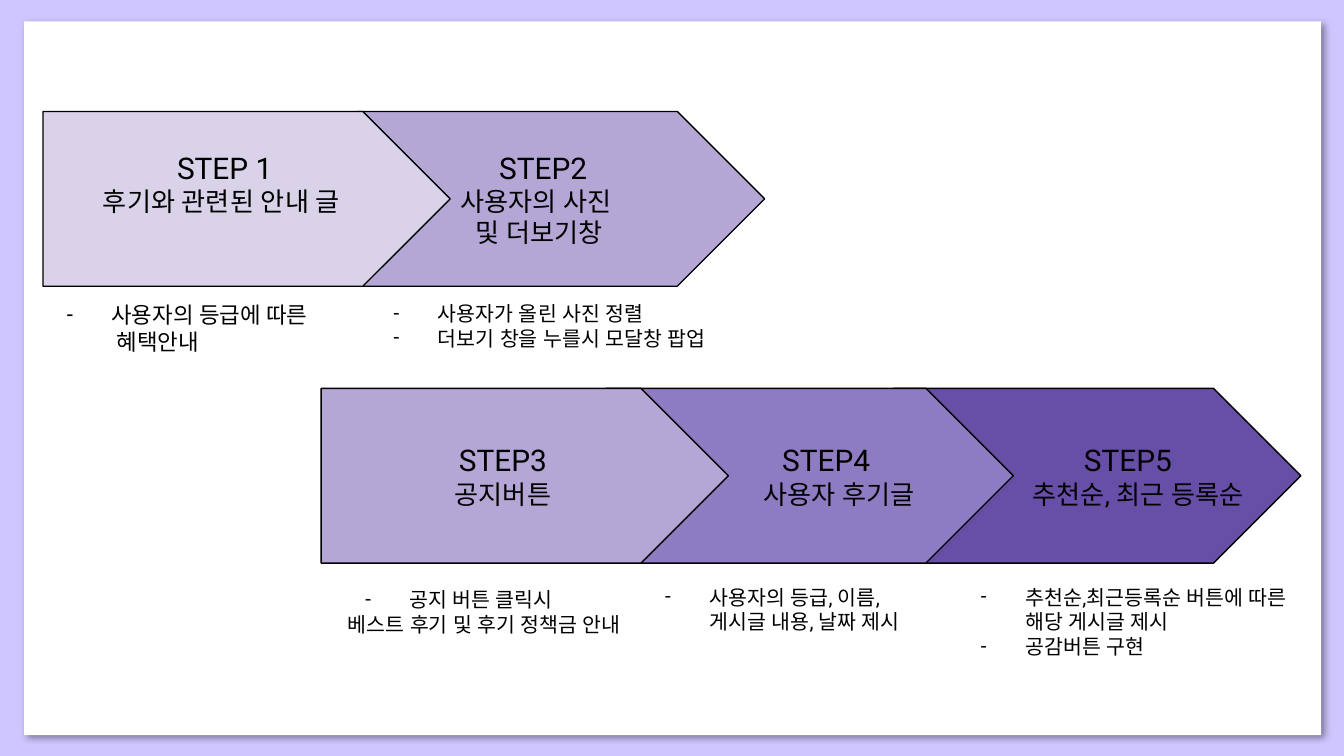
from lxml.etree import SubElement
from pptx import Presentation
from pptx.dml.color import RGBColor
from pptx.enum.shapes import MSO_SHAPE
from pptx.enum.text import MSO_ANCHOR, MSO_AUTO_SIZE, PP_ALIGN
from pptx.oxml.ns import qn
from pptx.util import Inches, Pt


def color(value):
    return RGBColor.from_string(value)


class StepSlide:
    """Draws the parts of a process slide on a grid of tenth-inch cells."""

    FONT, INK = "Roboto", "000000"
    CELL = Inches(0.1)
    INSET = 1
    ARROW_WIDTH, ARROW_HEIGHT = 30.3, 13
    HEADING_SIZE, LABEL_SIZE = 16, 14
    BULLET_INDENT, BULLET_HANG = 5, 3.3

    def __init__(self, deck, background):
        self.page = deck.slides.add_slide(deck.slide_layouts[6])
        fill = self.page.background.fill
        fill.solid()
        fill.fore_color.rgb = color(background)

    def cells(self, *counts):
        return [round(count * self.CELL) for count in counts]

    def shape(self, kind, place, fill):
        shape = self.page.shapes.add_shape(kind, *self.cells(*place))
        shape.shadow.inherit = False
        shape.fill.solid()
        shape.fill.fore_color.rgb = color(fill)
        return shape

    def frame(self, shape, bottom=INSET):
        frame = shape.text_frame
        frame.word_wrap = True
        insets = self.cells(self.INSET, self.INSET, self.INSET, bottom)
        frame.margin_left, frame.margin_top, frame.margin_right, frame.margin_bottom = insets
        return frame

    def paragraph(self, frame, index, text, size, align, indent=0, bullet=False):
        para = frame.add_paragraph() if index else frame.paragraphs[0]
        para.text = text
        para.alignment = align
        hang = self.BULLET_HANG if bullet else 0
        margin, first = self.cells(indent, -hang)
        properties = para._p.get_or_add_pPr()
        properties.set("marL", str(margin))
        properties.set("indent", str(first))
        if bullet:
            SubElement(properties, qn("a:buFont"), typeface=self.FONT)
            SubElement(properties, qn("a:buChar"), char="-")
        para.font.name = self.FONT
        para.font.size = Pt(size)
        para.font.color.rgb = color(self.INK)
        SubElement(properties.find(qn("a:defRPr")), qn("a:ea"), typeface=self.FONT)

    def panel(self, place, fill):
        panel = self.shape(MSO_SHAPE.RECTANGLE, place, fill)
        panel.line.fill.background()
        effects = panel._element.spPr.find(qn("a:effectLst"))
        shadow = SubElement(effects, qn("a:outerShdw"), blurRad=str(Pt(4)), dist=str(Pt(3)),
                            dir="2700000", algn="bl", rotWithShape="0")
        tint = SubElement(shadow, qn("a:srgbClr"), val=self.INK)
        SubElement(tint, qn("a:alpha"), val="40000")

    def arrow(self, left, top, fill, heading, labels, indents=(0, 0),
              label_align=PP_ALIGN.CENTER, bottom=INSET):
        place = (left, top, self.ARROW_WIDTH, self.ARROW_HEIGHT)
        arrow = self.shape(MSO_SHAPE.PENTAGON, place, fill)
        arrow.line.color.rgb = color(self.INK)
        arrow.line.width = Pt(0.75)
        frame = self.frame(arrow, bottom)
        frame.vertical_anchor = MSO_ANCHOR.MIDDLE
        self.paragraph(frame, 0, heading, self.HEADING_SIZE, PP_ALIGN.CENTER, indents[0])
        for index, label in enumerate(labels, 1):
            self.paragraph(frame, index, label, self.LABEL_SIZE, label_align, indents[1])

    def notes(self, place, lines, size=11):
        box = self.page.shapes.add_textbox(*self.cells(*place))
        frame = self.frame(box)
        frame.auto_size = MSO_AUTO_SIZE.SHAPE_TO_FIT_TEXT
        for index, (text, indent) in enumerate(lines):
            bullet = indent is None
            self.paragraph(frame, index, text, size, PP_ALIGN.LEFT,
                           self.BULLET_INDENT if bullet else indent, bullet)


def main():
    deck = Presentation()
    deck.slide_width = Inches(10)
    deck.slide_height = deck.slide_width * 9 // 16
    slide = StepSlide(deck, "D0C6FF")
    slide.panel((1.8, 1.6, 96.5, 53.1), "FFFFFF")

    upper, lower = 8.3, 28.9
    slide.arrow(66.5, lower, "674EA7", "STEP5", ["추천순, 최근 등록순"], (7.8, 0), PP_ALIGN.RIGHT)
    slide.arrow(45.1, lower, "8E7CC3", "STEP4", ["사용자 후기글"], (5.7, 7.6))
    slide.arrow(23.9, lower, "B4A7D6", "STEP3", ["공지버튼"])
    slide.arrow(26.6, upper, "B4A7D6", "STEP2", ["사용자의 사진 ", "및 더보기창"], (0.6, 0))
    slide.arrow(3.2, upper, "D9D2E9", "STEP 1", ["후기와 관련된 안내 글 "], bottom=3.3)

    slide.notes((2.3, 21.4, 31, 6.1), [("사용자의 등급에 따른", None), ("혜택안내", 5.4)], 12)
    slide.notes((26.6, 21.4, 35.3, 5.7),
                [("사용자가 올린 사진 정렬", None), ("더보기 창을 누를시 모달창 팝업", None)])
    slide.notes((24.5, 42.7, 31, 5.7),
                [("공지 버튼 클릭시", None), ("베스트 후기 및 후기 정책금 안내", 0.4)])
    slide.notes((46.8, 42.5, 31, 5.7),
                [("사용자의 등급, 이름,", None), ("게시글 내용, 날짜 제시", 5)])
    slide.notes((70.3, 42.5, 27.2, 7.6),
                [("추천순,최근등록순 버튼에 따른 해당 게시글 제시", None), ("공감버튼 구현", None)])
    deck.save("out.pptx")


if __name__ == "__main__":
    main()
